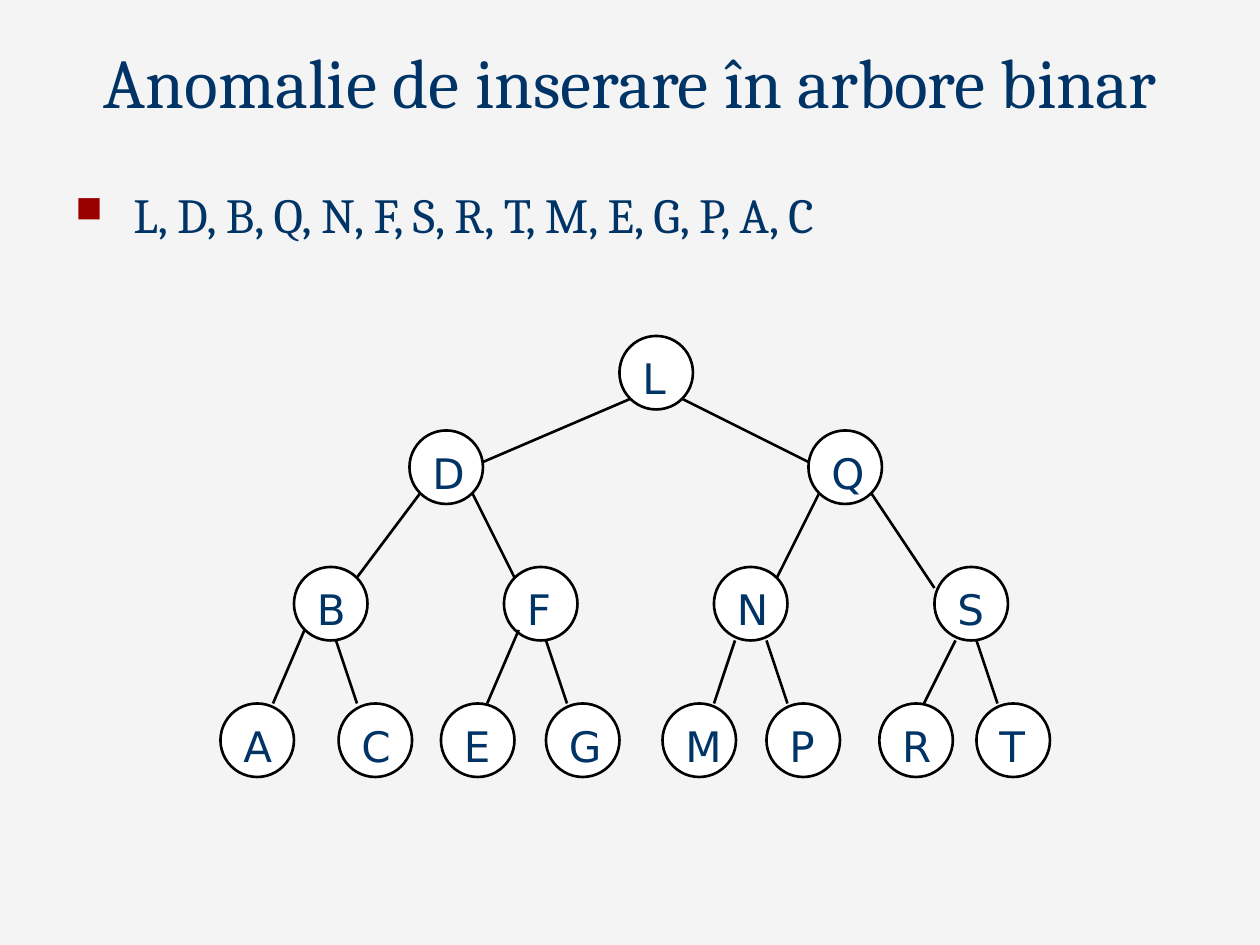
from dataclasses import dataclass

import pptx
import pptx.dml.color
import pptx.enum.shapes
import pptx.enum.text
import pptx.oxml
import pptx.oxml.ns
import pptx.util

TITLE = "Anomalie de inserare în arbore binar"
SEQUENCE = "L, D, B, Q, N, F, S, R, T, M, E, G, P, A, C"

# columns and rows of a grid of 120 by 90 cells
LEVEL_ROWS = (32, 41, 54, 67)
TREE = [
    [("L", 59, None)],
    [("D", 39, (60, 38, 46, 44)), ("Q", 77, (65, 38, 77, 44))],
    [("B", 28, (40, 47, 34, 55)), ("F", 48, (45, 47, 49, 55)),
     ("N", 68, (78, 47, 74, 55)), ("S", 89, (83, 47, 89, 56))],
    [("A", 21, (29, 60, 26, 67)), ("C", 32.25, (32, 61, 34, 67)),
     ("E", 42, (49.4, 60, 46.4, 67)), ("G", 52, (52, 61, 54, 67)),
     ("M", 63.1, (70, 61, 68, 67)), ("P", 73, (73, 61, 75, 67)),
     ("R", 83.75, (91, 61, 88, 67)), ("T", 93, (93, 61, 95, 67))],
]
NODE_SIZE = 7
LABEL_HEIGHT = 6
LABEL_WIDTHS = {"D": 6, "M": 6, "A": 4}
LABEL_WIDTH = 5


@dataclass(frozen=True)
class Theme:
    background: str = "F4F4F4"
    text: str = "003366"
    bullet: str = "9A0000"
    node: str = "FFFFFF"
    line: str = "000000"
    serif: str = "Cambria"
    sans: str = "DejaVu Sans"
    title_size: int = 40
    body_size: int = 28
    label_size: int = 24
    line_width: float = 1.5


THEME = Theme()


def color(value):
    return pptx.dml.color.RGBColor.from_string(value)


def grid(*cells):
    return [pptx.util.Inches(cell / 12) for cell in cells]


def add_element(parent, tag, **attributes):
    element = pptx.oxml.parse_xml(f"<{tag} {pptx.oxml.ns.nsdecls('a')}/>")
    for name, value in attributes.items():
        element.set(name, str(value))
    parent.append(element)
    return element


def add_bullet(paragraph, indent):
    properties = paragraph._p.get_or_add_pPr()
    properties.set("marL", str(indent))
    properties.set("indent", str(-indent))
    add_element(add_element(properties, "a:buClr"), "a:srgbClr", val=THEME.bullet)
    add_element(properties, "a:buSzPct", val=75000)
    add_element(properties, "a:buChar", char="■")


def write_text(shape, text, font, size, align=pptx.enum.text.PP_ALIGN.LEFT,
               anchor=pptx.enum.text.MSO_ANCHOR.TOP,
               fit=pptx.enum.text.MSO_AUTO_SIZE.NONE, bullet_indent=None):
    frame = shape.text_frame
    frame.word_wrap = True
    frame.auto_size = fit
    frame.vertical_anchor = anchor
    frame.text = text
    paragraph = frame.paragraphs[0]
    paragraph.alignment = align
    if bullet_indent:
        add_bullet(paragraph, bullet_indent)
    paragraph.font.name = font
    paragraph.font.size = pptx.util.Pt(size)
    paragraph.font.color.rgb = color(THEME.text)


def style_line(line):
    line.color.rgb = color(THEME.line)
    line.width = pptx.util.Pt(THEME.line_width)


def add_node(slide, letter, column, row, edge):
    shapes = slide.shapes.add_group_shape().shapes
    circle = shapes.add_shape(pptx.enum.shapes.MSO_SHAPE.OVAL,
                              *grid(column, row, NODE_SIZE, NODE_SIZE))
    circle.shadow.inherit = False
    circle.fill.solid()
    circle.fill.fore_color.rgb = color(THEME.node)
    style_line(circle.line)
    width = LABEL_WIDTHS.get(letter, LABEL_WIDTH)
    label = shapes.add_textbox(*grid(column + 1, row + 1, width, LABEL_HEIGHT))
    write_text(label, letter, THEME.sans, THEME.label_size,
               fit=pptx.enum.text.MSO_AUTO_SIZE.SHAPE_TO_FIT_TEXT)
    if edge:
        connector = shapes.add_connector(
            pptx.enum.shapes.MSO_CONNECTOR.STRAIGHT, *grid(*edge))
        style_line(connector.line)
        add_element(connector._element.spPr, "a:effectLst")


def main():
    presentation = pptx.Presentation()
    presentation.slide_width, presentation.slide_height = grid(120, 90)
    slide = presentation.slides.add_slide(presentation.slide_layouts[5])
    slide.background.fill.solid()
    slide.background.fill.fore_color.rgb = color(THEME.background)

    title = slide.shapes.title
    title.left, title.top, title.width, title.height = grid(0, 3, 120, 9.25)
    write_text(title, TITLE, THEME.serif, THEME.title_size,
               align=pptx.enum.text.PP_ALIGN.CENTER,
               anchor=pptx.enum.text.MSO_ANCHOR.BOTTOM)

    sequence = slide.shapes.add_textbox(*grid(6, 17, 98, 8))
    write_text(sequence, SEQUENCE, THEME.serif, THEME.body_size,
               bullet_indent=pptx.util.Inches(0.46))

    for row, nodes in zip(LEVEL_ROWS, TREE):
        for letter, column, edge in nodes:
            add_node(slide, letter, column, row, edge)

    presentation.save("out.pptx")


if __name__ == "__main__":
    main()
